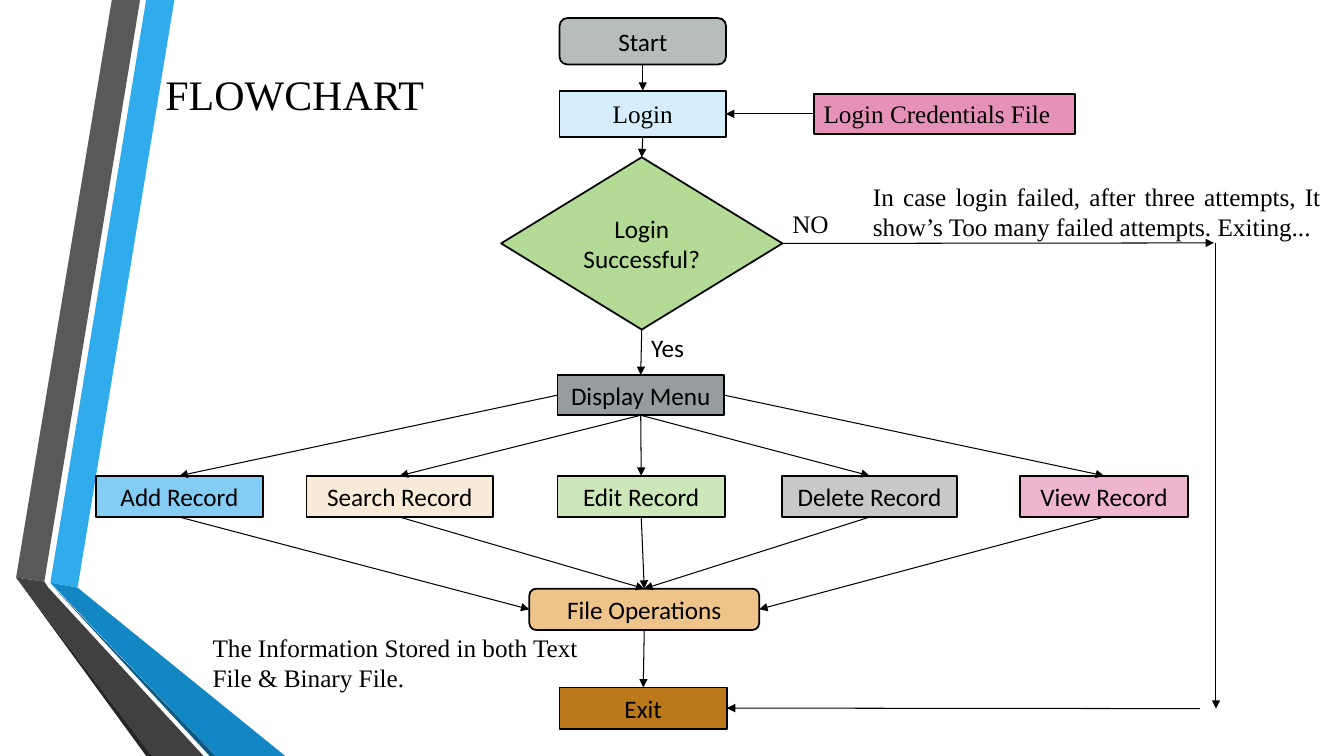
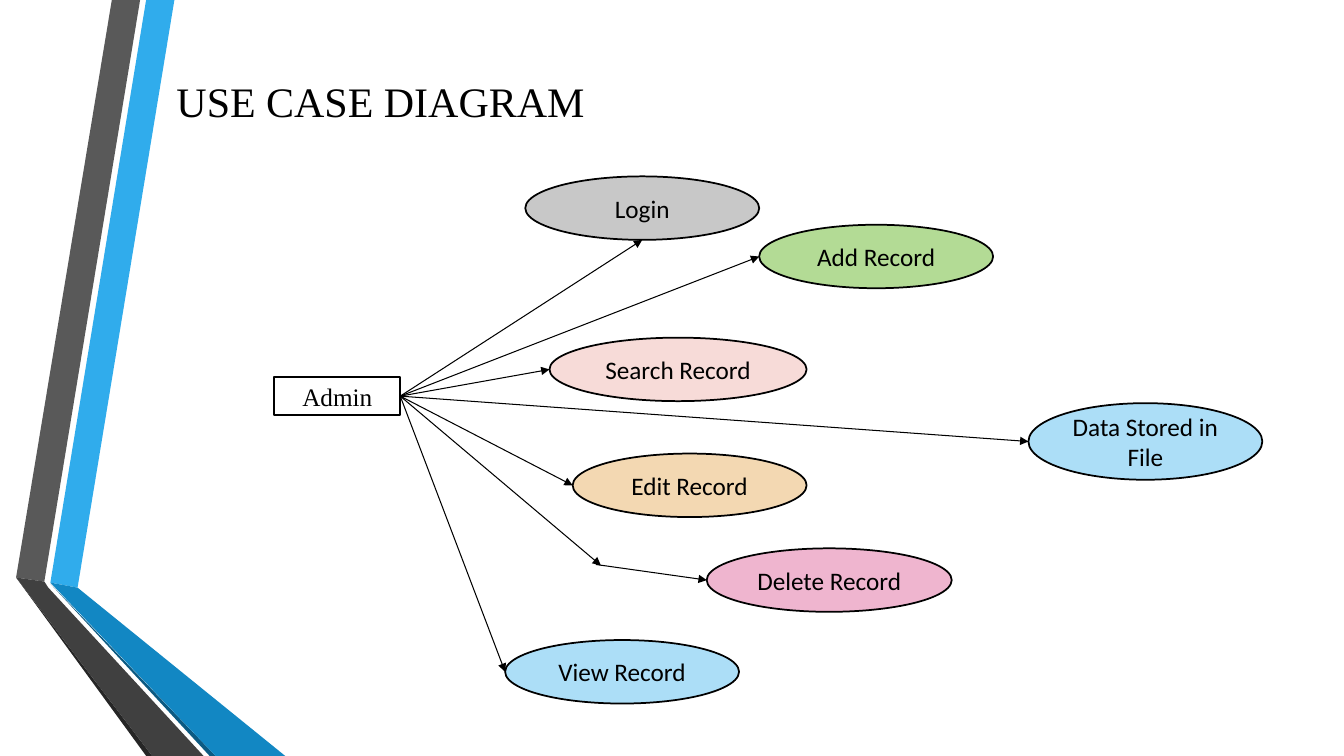
from dataclasses import dataclass

from lxml import etree
from pptx import Presentation
from pptx.dml.color import RGBColor
from pptx.enum.shapes import MSO_CONNECTOR, MSO_SHAPE
from pptx.enum.text import MSO_ANCHOR, MSO_AUTO_SIZE, PP_ALIGN
from pptx.oxml.ns import qn
from pptx.shapes.autoshape import Shape
from pptx.util import Inches, Pt

RECT = MSO_SHAPE.RECTANGLE
ROUNDED = MSO_SHAPE.ROUNDED_RECTANGLE
DIAMOND = MSO_SHAPE.DIAMOND
OVAL = MSO_SHAPE.OVAL
STRAIGHT = MSO_CONNECTOR.STRAIGHT
LEFT_ALIGN = PP_ALIGN.LEFT
CENTER = PP_ALIGN.CENTER
JUSTIFY = PP_ALIGN.JUSTIFY
MIDDLE = MSO_ANCHOR.MIDDLE
TOP_ANCHOR = MSO_ANCHOR.TOP
NO_AUTOFIT = MSO_AUTO_SIZE.NONE
TOP, LEFT, BOTTOM, RIGHT = range(4)

SANS = "Calibri"
SERIF = "Times New Roman"
BLACK = "000000"
TITLE_SIZE = 30
TEXT_SIZE = 18
TITLE_ONLY = 5

BANDS = [
    ("30ACEC", [(0.5, 5.78), (0.77, 5.83), (1.73, 0), (1.45, 0)]),
    ("595959", [(1.39, 0), (1.11, 0), (0.16, 5.73), (0.44, 5.77)]),
    ("262626", [(0.16, 5.73), (1.45, 7.5), (1.51, 7.5)]),
    ("0C5A82", [(0.5, 5.79), (2.08, 7.5), (2.14, 7.5)]),
    ("1287C3", [(0.5, 5.78), (2.14, 7.5), (2.83, 7.5), (0.77, 5.83)]),
    ("404040", [(2.02, 7.5), (0.48, 5.83), (0.44, 5.77), (0.16, 5.73), (1.51, 7.5)]),
]

RECORDS = [
    ("Add Record", 0.95, 1.66, "83CDF4", LEFT, LEFT),
    ("Search Record", 3.04, 1.85, "F9EBD8", BOTTOM, TOP),
    ("Edit Record", 5.53, 1.66, "CCE7B9", BOTTOM, TOP),
    ("Delete Record", 7.76, 1.73, "C8C8C8", BOTTOM, TOP),
    ("View Record", 10.12, 1.66, "EFB5CF", RIGHT, RIGHT),
]

USE_CASES = [
    ("Login", (5.21, 1.75, 2.32, 0.63), "C8C8C8", BOTTOM),
    ("Add Record", (7.53, 2.23, 2.32, 0.63), "B3DB95", LEFT),
    ("Search Record", (5.45, 3.35, 2.55, 0.63), "F7DBD8", LEFT),
    ("Data Stored in File", (10.2, 4, 2.32, 0.76), "ACDEF7", LEFT),
    ("Edit Record", (5.68, 4.5, 2.32, 0.63), "F3D8B2", LEFT),
    ("View Record", (5.01, 6.35, 2.32, 0.63), "ACDEF7", LEFT),
]


@dataclass
class Side:
    box: Shape
    site: int

    def point(self):
        box = self.box
        across = {LEFT: 0, RIGHT: box.width}.get(self.site, box.width // 2)
        down = {TOP: 0, BOTTOM: box.height}.get(self.site, box.height // 2)
        return box.left + across, box.top + down


def rgb(value):
    return RGBColor.from_string(value)


def write(frame, text, font=SANS, size=TEXT_SIZE, align=CENTER, anchor=MIDDLE):
    frame.text = text
    frame.word_wrap = True
    frame.auto_size = NO_AUTOFIT
    frame.vertical_anchor = anchor
    para = frame.paragraphs[0]
    para.alignment = align
    para.font.name = font
    para.font.size = Pt(size)
    para.font.color.rgb = rgb(BLACK)


def add_box(page, kind, place, fill, text, **style):
    box = page.shapes.add_shape(kind, *map(Inches, place))
    box.shadow.inherit = False
    box.fill.solid()
    box.fill.fore_color.rgb = rgb(fill)
    box.line.color.rgb = rgb(BLACK)
    box.line.width = Pt(1.25)
    write(box.text_frame, text, **style)
    return box


def add_note(page, place, text, font=SERIF, align=LEFT_ALIGN):
    note = page.shapes.add_textbox(*map(Inches, place))
    write(note.text_frame, text, font=font, align=align, anchor=TOP_ANCHOR)


def locate(end):
    return end.point() if isinstance(end, Side) else tuple(map(Inches, end))


def add_arrow(page, start, finish):
    arrow = page.shapes.add_connector(STRAIGHT, *locate(start), *locate(finish))
    for end, join in ((start, arrow.begin_connect), (finish, arrow.end_connect)):
        if isinstance(end, Side) and end.box.auto_shape_type != OVAL:
            join(end.box, end.site)
    arrow.line.color.rgb = rgb(BLACK)
    arrow.line.width = Pt(0.75)
    etree.SubElement(arrow.line._get_or_add_ln(), qn("a:tailEnd"), type="triangle")
    etree.SubElement(arrow.element.spPr, qn("a:effectLst"))


def add_bands(page, layout):
    for index, (fill, corners) in enumerate(BANDS):
        points = [(Inches(x), Inches(y)) for x, y in corners]
        builder = page.shapes.build_freeform(*points[0])
        builder.add_line_segments(points[1:], close=True)
        band = builder.convert_to_shape()
        band.shadow.inherit = False
        band.fill.solid()
        band.fill.fore_color.rgb = rgb(fill)
        band.line.fill.background()
        layout.shapes.element.insert(2 + index, band.element)


def set_title(page, place, text):
    title = page.shapes.title
    title.left, title.top, title.width, title.height = map(Inches, place)
    write(title.text_frame, text, font=SERIF, size=TITLE_SIZE, align=LEFT_ALIGN)


def build_flowchart(page):
    set_title(page, (1.54, 0.63, 2.84, 0.61), "FLOWCHART")
    start = add_box(page, ROUNDED, (5.55, 0.18, 1.65, 0.46), "B7BCBD", "Start")
    login = add_box(page, RECT, (5.55, 0.9, 1.65, 0.46), "D6EEFB", "Login", font=SERIF)
    check = add_box(page, DIAMOND, (4.97, 1.56, 2.79, 1.71), "B3DB95", "Login Successful?")
    menu = add_box(page, RECT, (5.53, 3.72, 1.65, 0.4), "979D9F", "Display Menu")
    files = add_box(page, ROUNDED, (5.25, 5.84, 2.28, 0.41), "EEC48B", "File Operations")
    leave = add_box(page, RECT, (5.55, 6.82, 1.66, 0.41), "BC791C", "Exit")
    credentials = add_box(page, RECT, (8.07, 0.93, 2.59, 0.4), "E691B7",
                          "Login Credentials File", font=SERIF, align=LEFT_ALIGN)

    for upper, lower in ((start, login), (login, check), (check, menu), (files, leave)):
        add_arrow(page, Side(upper, BOTTOM), Side(lower, TOP))
    add_arrow(page, Side(credentials, LEFT), Side(login, RIGHT))

    for text, left, width, fill, menu_site, files_site in RECORDS:
        record = add_box(page, RECT, (left, 4.72, width, 0.41), fill, text)
        add_arrow(page, Side(menu, menu_site), Side(record, TOP))
        add_arrow(page, Side(record, BOTTOM), Side(files, files_site))

    add_arrow(page, Side(check, RIGHT), (12.04, 2.41))
    add_arrow(page, (12.06, 2.41), (12.06, 7.03))
    add_arrow(page, (11.9, 7.03), Side(leave, RIGHT))

    add_note(page, (7.76, 2.02, 1.98, 0.4), "NO")
    add_note(page, (6.36, 3.25, 0.93, 0.4), "Yes", font=SANS)
    add_note(page, (8.56, 1.75, 4.64, 0.71),
             "In case login failed, after three attempts, It show’s "
             "Too many failed attempts. Exiting...", align=JUSTIFY)
    add_note(page, (2.01, 6.22, 4.15, 0.71),
             "The Information Stored in both Text File & Binary File.")


def build_use_cases(page):
    set_title(page, (1.65, 0.68, 4.4, 0.63), "USE CASE DIAGRAM")
    admin = add_box(page, RECT, (2.72, 3.74, 1.25, 0.38), "FFFFFF", "Admin", font=SERIF)
    for text, place, fill, site in USE_CASES:
        case = add_box(page, OVAL, place, fill, text)
        add_arrow(page, Side(admin, RIGHT), Side(case, site))
    delete = add_box(page, OVAL, (7.01, 5.44, 2.43, 0.63), "EFB5CF", "Delete Record")
    add_arrow(page, Side(admin, RIGHT), (5.96, 5.61))
    add_arrow(page, (5.91, 5.6), Side(delete, LEFT))


def main():
    deck = Presentation()
    deck.slide_width = Inches(13.33)
    deck.slide_height = Inches(7.5)
    layout = deck.slide_layouts[TITLE_ONLY]
    flowchart = deck.slides.add_slide(layout)
    add_bands(flowchart, layout)
    build_flowchart(flowchart)
    build_use_cases(deck.slides.add_slide(layout))
    deck.save("out.pptx")


if __name__ == "__main__":
    main()
